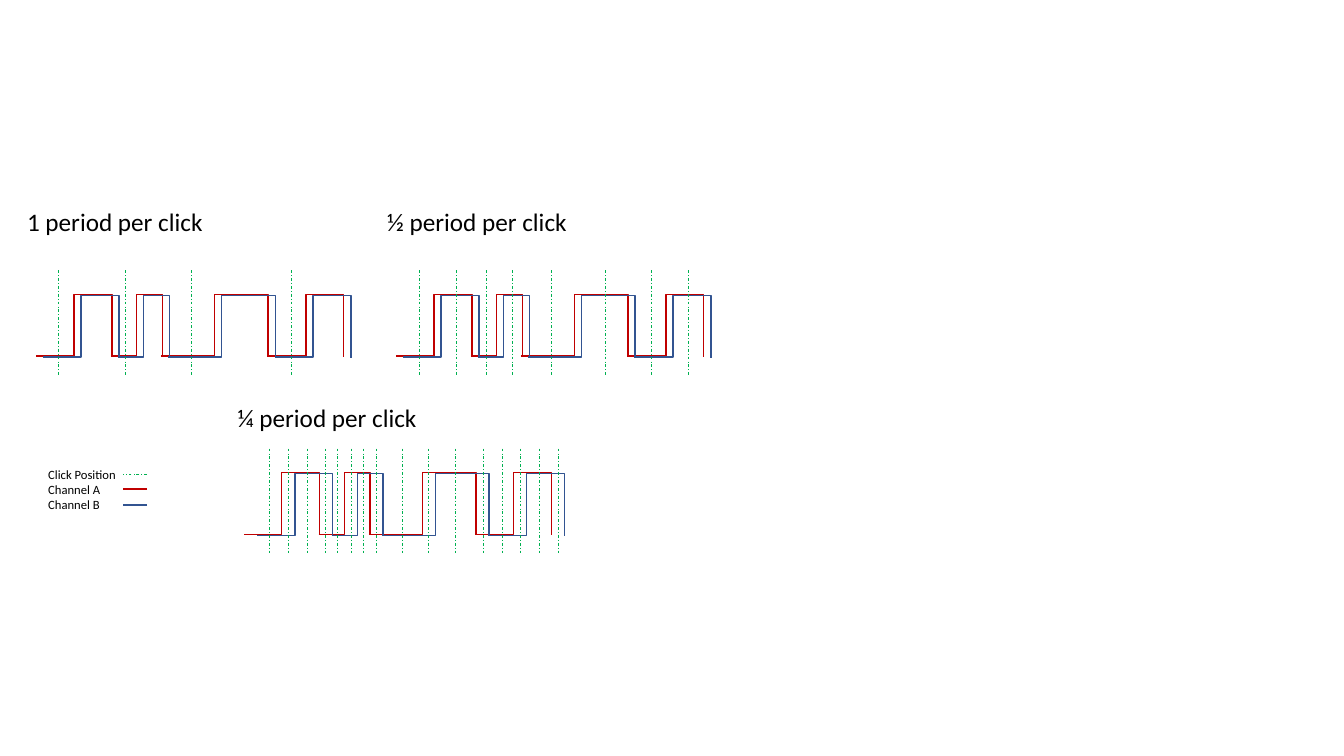
from dataclasses import dataclass

from lxml import etree
from pptx import Presentation
from pptx.dml.color import RGBColor
from pptx.enum import dml, shapes, text
from pptx.oxml import ns
from pptx.util import Inches, Pt


@dataclass(frozen=True)
class Theme:
    font: str = "Calibri"
    ink: str = "000000"
    red: str = "C00000"
    blue: str = "325491"
    green: str = "00B050"
    title: float = 18
    small: float = 9
    thin: float = 0.5
    thick: float = 1


THEME = Theme()

# Pulses as (offset, width), with the height of the signal
PULSES = [(0, 0.75), (0.74, 0.51), (1.24, 1.06), (2.3, 0.75)]
HIGH = 0.61

# Panels: title, title place and width, wave corner, lag of B, click offsets
PANELS = [
    ("¼ period per click", (2.26, 3.94, 2.06), (2.42, 4.69), 0.13,
     [0.25, 0.44, 0.63, 0.81, 0.93, 1.06, 1.18, 1.31,
      1.57, 1.83, 2.1, 2.37, 2.56, 2.74, 2.93, 3.12]),
    ("1 period per click", (0.17, 2, 1.97), (0.36, 2.92), 0.07,
     [0.22, 0.88, 1.54, 2.53]),
    ("½ period per click", (3.74, 2, 2.01), (3.93, 2.92), 0.07,
     [0.23, 0.6, 0.89, 1.15, 1.54, 2.07, 2.53, 2.9]),
]


def stroke(line, color, width):
    line.color.rgb = RGBColor.from_string(color)
    line.width = Pt(width)


def add_line(group, start, end, color, width, dash=None):
    ends = [Inches(v) for v in (*start, *end)]
    line = group.shapes.add_connector(shapes.MSO_CONNECTOR.STRAIGHT, *ends)
    stroke(line.line, color, width)
    if dash:
        line.line.dash_style = dash
    etree.SubElement(line._element.spPr, ns.qn("a:effectLst"))


def add_click(group, start, end):
    add_line(group, start, end, THEME.green, THEME.thin,
             dml.MSO_LINE.DASH_DOT)


def add_pulse(group, left, top, width, color):
    mid, right = left + width / 2, left + width
    low = top + HIGH
    points = [(mid, low), (mid, top), (right, top), (right, low + 0.01)]
    pen = group.shapes.build_freeform(Inches(left), Inches(low))
    pen.add_line_segments([(Inches(x), Inches(y)) for x, y in points],
                          close=False)
    pulse = pen.convert_to_shape()
    pulse.shadow.inherit = False
    pulse.fill.background()
    stroke(pulse.line, color, THEME.thick)


def add_wave(group, left, top, color):
    for shift, width in PULSES:
        add_pulse(group, left + shift, top, width, color)


def add_text(group, place, lines, size, wrap):
    box = group.shapes.add_textbox(*[Inches(v) for v in place])
    frame = box.text_frame
    frame.word_wrap = wrap
    frame.auto_size = text.MSO_AUTO_SIZE.SHAPE_TO_FIT_TEXT
    for i, words in enumerate(lines):
        para = frame.add_paragraph() if i else frame.paragraphs[0]
        run = para.add_run()
        run.text = words
        run.font.name = THEME.font
        run.font.size = Pt(size)
        run.font.color.rgb = RGBColor.from_string(THEME.ink)


def add_panel(slide, title, place, corner, lag, clicks):
    group = slide.shapes.add_group_shape()
    left, top = corner
    add_wave(group, left, top, THEME.red)
    add_wave(group, left + lag, top + 0.01, THEME.blue)
    for shift in clicks:
        x = left + shift
        add_click(group, (x, top - 0.24), (x, top + 0.8))
    add_text(group, (*place, 0.4), [title], THEME.title, False)


def add_legend(slide):
    group = slide.shapes.add_group_shape()
    left, right = 1.22, 1.46
    add_click(group, (right, 4.71), (left, 4.71))
    for y, color in ((4.85, THEME.red), (5.01, THEME.blue)):
        add_line(group, (right, y), (left, y), color, THEME.thick)
    names = ["Click Position", "Channel A", "Channel B"]
    add_text(group, (0.38, 4.58, 1.07, 0.56), names, THEME.small, True)


def main():
    deck = Presentation()
    deck.slide_width, deck.slide_height = Inches(13.33), Inches(7.5)
    slide = deck.slides.add_slide(deck.slide_layouts[6])
    # Signal panels, then the key
    for panel in PANELS:
        add_panel(slide, *panel)
    add_legend(slide)
    deck.save("out.pptx")


if __name__ == "__main__":
    main()
